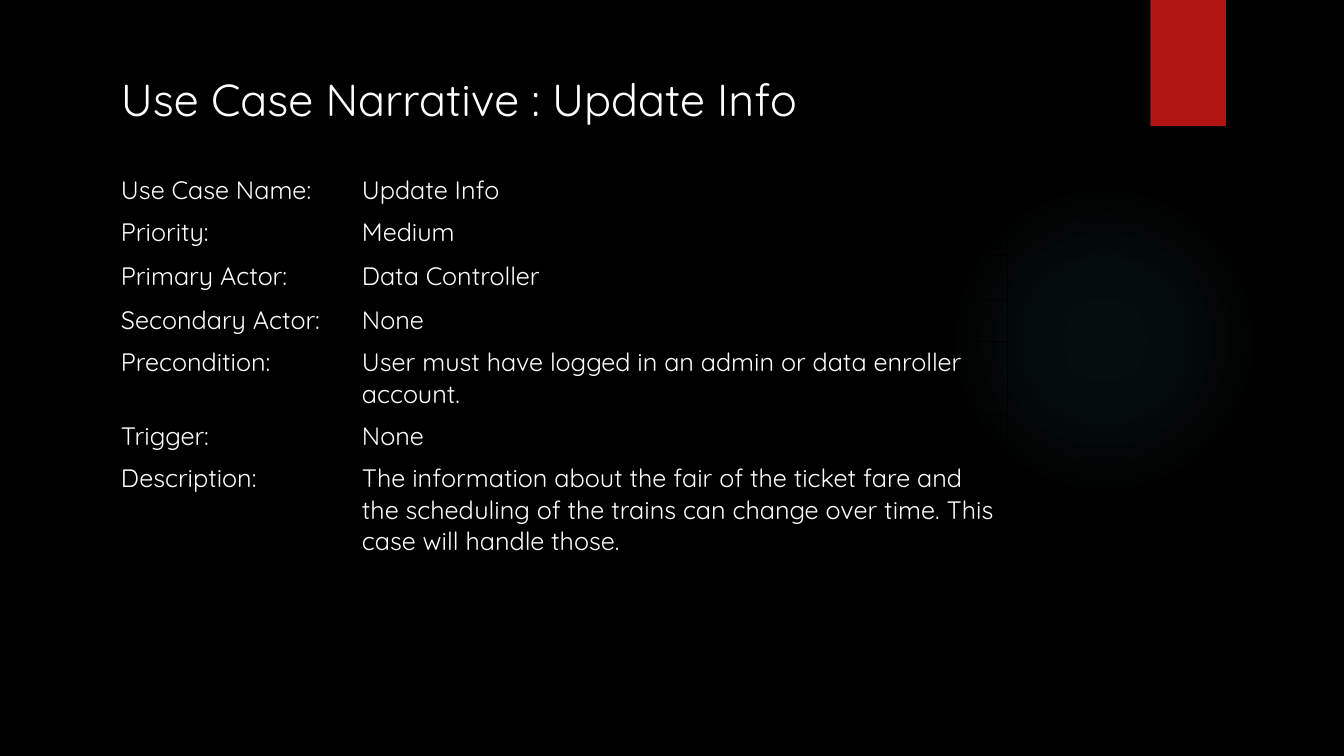
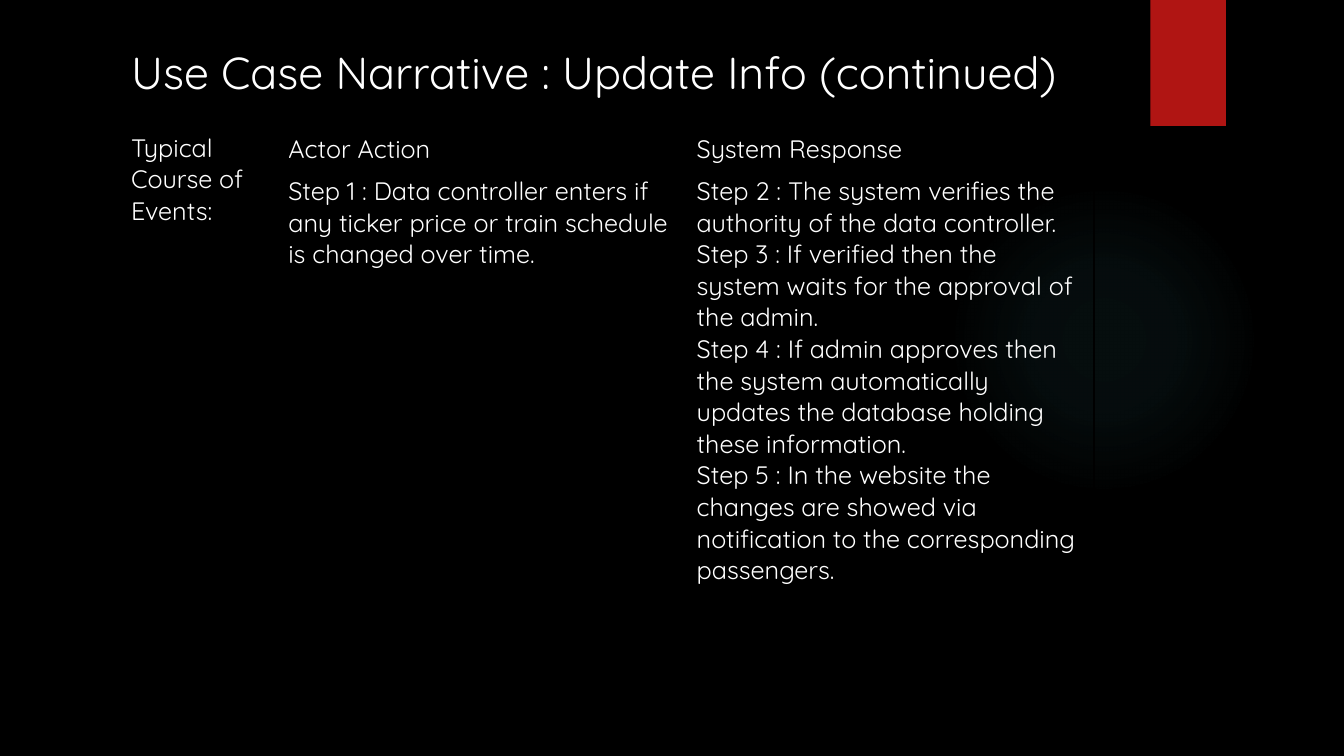
"""Build two use case narrative slides with unfilled tables on black."""
from dataclasses import dataclass

from pptx import Presentation
from pptx.dml.color import RGBColor
from pptx.enum.shapes import MSO_SHAPE as Preset
from pptx.enum.text import MSO_ANCHOR as Anchor
from pptx.enum.text import MSO_AUTO_SIZE as AutoSize
from pptx.enum.text import PP_ALIGN as Align
from pptx.oxml import parse_xml
from pptx.oxml.ns import nsdecls
from pptx.util import Inches, Pt

BLACK = RGBColor(0x00, 0x00, 0x00)
WHITE = RGBColor(0xFF, 0xFF, 0xFF)
RED = RGBColor(0xB0, 0x15, 0x13)
TEAL = RGBColor(0x50, 0xB9, 0xC1)
FONT = "Quicksand"
TITLE_SIZE = Pt(32)
BODY_SIZE = Pt(18)
GLOW_STOPS = ((0, 7), (36, 6), (69, 0))
TITLE_ONLY = 5


@dataclass(frozen=True)
class TableSpec:
    """Position, grid sizes in inches and cell texts of one table."""

    left: float
    top: float
    columns: tuple[float, ...]
    rows: tuple[float, ...]
    texts: tuple[tuple[str, ...], ...]


@dataclass(frozen=True)
class SlideSpec:
    """Title box and tables of one slide."""

    title: str
    left: float
    top: float
    width: float
    tables: tuple[TableSpec, ...]


SLIDES = (
    SlideSpec("Use Case Narrative : Update Info", 1.1, 0.66, 7.31, (
        TableSpec(
            1.1, 1.68, (2.39, 6.5), (0.42, 0.43, 0.44, 0.42, 0.73, 0.42, 1.04),
            (
                ("Use Case Name:", "Update Info"),
                ("Priority:", "Medium"),
                ("Primary Actor:", "Data Controller"),
                ("Secondary Actor:", "None"),
                ("Precondition:",
                 "User must have logged in an admin or data enroller account."),
                ("Trigger:", "None"),
                ("Description:",
                 "The information about the fair of the ticket fare and the "
                 "scheduling of the trains can change over time. This case "
                 "will handle those."),
            ),
        ),
    )),
    SlideSpec("Use Case Narrative : Update Info (continued)", 1.2, 0.39, 10.01, (
        TableSpec(
            2.76, 1.27, (4.05, 4.04), (0.42, 5.22),
            (
                ("Actor Action", "System Response"),
                ("Step 1 : Data controller enters if any ticker price or train "
                 "schedule is changed over time.",
                 "Step 2 : The system verifies the authority of the data "
                 "controller.\n"
                 "Step 3 : If verified then the system waits for the approval "
                 "of the admin.\n"
                 "Step 4 : If admin approves then the system automatically "
                 "updates the database holding these information.\n"
                 "Step 5 : In the website the changes are showed via "
                 "notification to the corresponding passengers."),
            ),
        ),
        TableSpec(1.2, 1.26, (1.57,), (5.65,), (("Typical Course of Events:",),)),
    )),
)


def format_text(text_frame, size: Pt) -> None:
    """Give every run the shared font and colour, aligned left."""
    for paragraph in text_frame.paragraphs:
        paragraph.alignment = Align.LEFT
        for run in paragraph.runs:
            run.font.name = FONT
            run.font.size = size
            run.font.color.rgb = WHITE


def add_plain_shape(slide, preset: Preset, left: float, top: float,
                    width: float, height: float):
    """Add a shape without outline or shadow."""
    shape = slide.shapes.add_shape(
        preset, Inches(left), Inches(top), Inches(width), Inches(height))
    shape.shadow.inherit = False
    shape.line.fill.background()
    return shape


def add_decoration(slide) -> None:
    """Draw the soft glow and the red tab."""
    glow = add_plain_shape(slide, Preset.OVAL, 9.41, 1.83, 3.08, 3.08)
    stops = "".join(
        f'<a:gs pos="{position * 1000}"><a:srgbClr val="{TEAL}">'
        f'<a:alpha val="{alpha * 1000}"/></a:srgbClr></a:gs>'
        for position, alpha in GLOW_STOPS)
    glow.fill.background()
    no_fill = glow.element.xpath("./p:spPr/a:noFill")[0]
    no_fill.getparent().replace(no_fill, parse_xml(
        f'<a:gradFill {nsdecls("a")}><a:gsLst>{stops}</a:gsLst>'
        '<a:path path="circle"><a:fillToRect l="50000" t="50000" r="50000" '
        'b="50000"/></a:path></a:gradFill>'))
    tab = add_plain_shape(slide, Preset.RECTANGLE, 11.41, 0, 0.75, 1.25)
    tab.fill.solid()
    tab.fill.fore_color.rgb = RED


def add_borders(cell_element) -> None:
    """Outline a cell in the background colour."""
    properties = cell_element.get_or_add_tcPr()
    for index, side in enumerate("LRTB"):
        properties.insert(index, parse_xml(
            f'<a:ln{side} {nsdecls("a")} w="{Pt(1)}"><a:solidFill>'
            f'<a:srgbClr val="{BLACK}"/></a:solidFill></a:ln{side}>'))


def add_text_table(slide, spec: TableSpec) -> None:
    """Add an unfilled table with white text."""
    frame = slide.shapes.add_table(
        len(spec.rows), len(spec.columns), Inches(spec.left), Inches(spec.top),
        Inches(sum(spec.columns)), Inches(sum(spec.rows)))
    table = frame.table
    table.first_row = False
    table.horz_banding = False
    for column, width in zip(table.columns, spec.columns):
        column.width = Inches(width)
    for row, height, texts in zip(table.rows, spec.rows, spec.texts):
        row.height = Inches(height)
        for cell, text in zip(row.cells, texts):
            cell.text_frame.text = text
            cell.fill.background()
            format_text(cell.text_frame, BODY_SIZE)
    for cell_element in frame.element.xpath(".//a:tc"):
        add_borders(cell_element)


def add_title(slide, spec: SlideSpec) -> None:
    """Place and format the title of one slide."""
    title = slide.shapes.title
    title.left, title.top = Inches(spec.left), Inches(spec.top)
    title.width, title.height = Inches(spec.width), Inches(0.64)
    text_frame = title.text_frame
    text_frame.text = spec.title
    text_frame.word_wrap = True
    text_frame.auto_size = AutoSize.SHAPE_TO_FIT_TEXT
    text_frame.vertical_anchor = Anchor.TOP
    format_text(text_frame, TITLE_SIZE)


def main() -> None:
    """Build and save the presentation."""
    presentation = Presentation()
    presentation.slide_width = Inches(13.33)
    presentation.slide_height = Inches(7.5)
    background = presentation.slide_master.background.fill
    background.solid()
    background.fore_color.rgb = BLACK
    for spec in SLIDES:
        slide = presentation.slides.add_slide(
            presentation.slide_layouts[TITLE_ONLY])
        add_decoration(slide)
        add_title(slide, spec)
        for table_spec in spec.tables:
            add_text_table(slide, table_spec)
    presentation.save("out.pptx")


if __name__ == "__main__":
    main()
